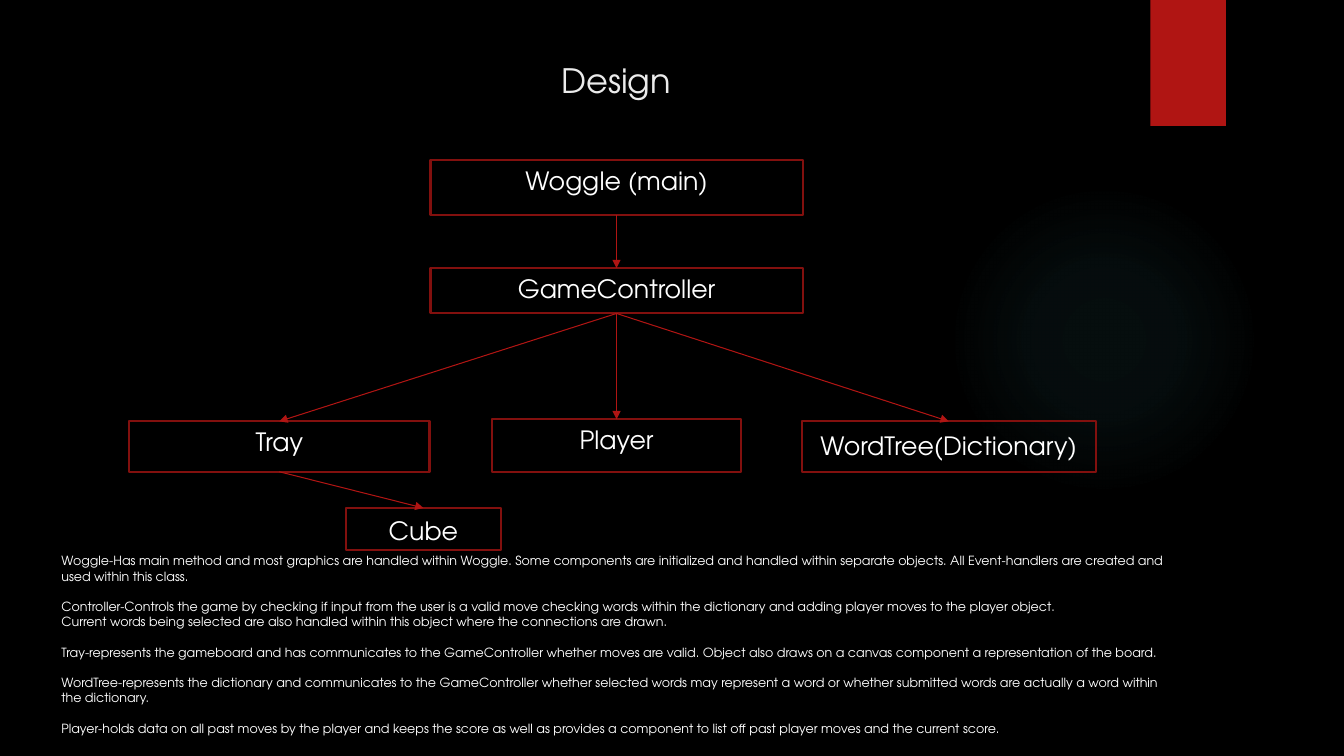
"""Build a slide that shows the class design of a word game."""
from dataclasses import dataclass

from lxml import etree
from pptx import Presentation
from pptx.dml.color import RGBColor
from pptx.enum.shapes import MSO_CONNECTOR, MSO_SHAPE
from pptx.enum.text import MSO_ANCHOR, PP_ALIGN
from pptx.oxml import parse_xml
from pptx.oxml.ns import nsdecls, qn
from pptx.util import Inches, Pt

RECT, OVAL = MSO_SHAPE.RECTANGLE, MSO_SHAPE.OVAL
LINE = MSO_CONNECTOR.STRAIGHT
LEFT, MID = PP_ALIGN.LEFT, PP_ALIGN.CENTER
TOP, CENTER = MSO_ANCHOR.TOP, MSO_ANCHOR.MIDDLE
TOP_SITE, LOW_SITE = 0, 2
WIDE, HIGH = 13.33, 7.5
COLS, ROWS = 133.3, 75


@dataclass(frozen=True)
class Theme:
    font: str = "TeX Gyre Adventor"
    back: str = "000000"
    glow: str = "50B9C1"
    red: str = "B01513"
    edge: str = "82100E"
    head: str = "EBEBEB"
    ink: str = "FFFFFF"
    title: int = 24
    label: int = 18
    note: int = 9
    gap: float = 10.9


def rgb(code):
    return RGBColor.from_string(code)


def write(frame, lines, *, font, size, color, align=LEFT, anchor=TOP, gaps=()):
    frame.word_wrap = True
    frame.vertical_anchor = anchor
    for i, line in enumerate(lines):
        para = frame.paragraphs[0] if i == 0 else frame.add_paragraph()
        para.alignment = align
        para.space_before = Pt(gaps[i] if gaps else 0)
        run = para.add_run()
        run.text = line
        run.font.name = font
        run.font.size = Pt(size)
        run.font.color.rgb = rgb(color)


class Deck:
    def __init__(self, theme):
        self.theme = theme
        self.file = Presentation()
        self.file.slide_width = Inches(WIDE)
        self.file.slide_height = Inches(HIGH)
        self.slide = self.file.slides.add_slide(self.file.slide_layouts[6])
        fill = self.slide.background.fill
        fill.solid()
        fill.fore_color.rgb = rgb(theme.back)

    def place(self, col, row, cols, rows):
        x, y = Inches(WIDE) / COLS, Inches(HIGH) / ROWS
        return [round(n) for n in (col * x, row * y, cols * x, rows * y)]

    def shape(self, kind, area, fill=None, edge=None):
        item = self.slide.shapes.add_shape(kind, *self.place(*area))
        item.shadow.inherit = False
        if fill:
            item.fill.solid()
            item.fill.fore_color.rgb = rgb(fill)
        else:
            item.fill.background()
        if edge:
            item.line.color.rgb = rgb(edge)
            item.line.width = Pt(1.5)
        else:
            item.line.fill.background()
        return item

    def glow(self, area, stops):
        item = self.shape(OVAL, area)
        marks = "".join(
            f'<a:gs pos="{pos * 1000}"><a:srgbClr val="{self.theme.glow}">'
            f'<a:alpha val="{alpha * 1000}"/></a:srgbClr></a:gs>'
            for pos, alpha in stops)
        grad = parse_xml(
            f'<a:gradFill {nsdecls("a")}><a:gsLst>{marks}</a:gsLst>'
            '<a:path path="circle"><a:fillToRect l="50000" t="50000" '
            'r="50000" b="50000"/></a:path></a:gradFill>')
        props = item._element.spPr
        props.replace(props.find(qn("a:noFill")), grad)

    def text(self, area, lines, **style):
        box = self.slide.shapes.add_textbox(*self.place(*area))
        look = dict(font=self.theme.font, color=self.theme.ink)
        write(box.text_frame, lines, **(look | style))

    def node(self, name, area, drop=0):
        col, row, cols, _ = area
        box = self.shape(RECT, area, edge=self.theme.edge)
        self.text((col, row + drop, cols, 4), [name],
                  size=self.theme.label, align=MID)
        return box

    def arrow(self, start, end):
        link = self.slide.shapes.add_connector(LINE, 0, 0, 0, 0)
        link.begin_connect(start, LOW_SITE)
        link.end_connect(end, TOP_SITE)
        link.line.color.rgb = rgb(self.theme.red)
        link.line.width = Pt(0.75)
        etree.SubElement(link.line._get_or_add_ln(), qn("a:tailEnd"),
                         type="triangle")
        etree.SubElement(link._element.spPr, qn("a:effectLst"))


NODES = {
    "Woggle (main)": ((42.7, 15.9, 36.9, 5.4), 0),
    "GameController": ((42.7, 26.6, 36.9, 4.5), 0),
    "Tray": ((12.8, 41.8, 29.8, 5), 0),
    "Player": ((48.8, 41.6, 24.7, 5.2), 0),
    "WordTree(Dictionary)": ((79.5, 41.8, 29.2, 5), 0.4),
    "Cube": ((34.3, 50.4, 15.4, 4.2), 0.2),
}
LINKS = [
    ("Woggle (main)", "GameController"),
    ("GameController", "Player"),
    ("GameController", "Tray"),
    ("GameController", "WordTree(Dictionary)"),
    ("Tray", "Cube"),
]
NOTES = [
    "Woggle-Has main method and most graphics are handled within Woggle. "
    "Some components are initialized and handled within separate objects. "
    "All Event-handlers are created and used within this class.",
    "Controller-Controls the game by checking if input from the user is a "
    "valid move checking words within the dictionary and adding player moves "
    "to the player object.",
    "Current words being selected are also handled within this object where "
    "the connections are drawn.",
    "Tray-represents the gameboard and has communicates to the "
    "GameController whether moves are valid. Object also draws on a canvas "
    "component a representation of the board.",
    "WordTree-represents the dictionary and communicates to the "
    "GameController whether selected words may represent a word or whether "
    "submitted words are actually a word within the dictionary.",
    "Player-holds data on all past moves by the player and keeps the score "
    "as well as provides a component to list off past player moves and the "
    "current score.",
]


def main():
    theme = Theme()
    deck = Deck(theme)
    deck.glow((94.1, 18.3, 30.8, 30.8), [(0, 7), (36, 6), (69, 0)])
    deck.shape(RECT, (114.1, 0, 7.5, 12.5), fill=theme.red)
    deck.text((18.5, 5.1, 85.2, 5.6), ["Design"], size=theme.title,
              color=theme.head, align=MID, anchor=CENTER)
    boxes = {name: deck.node(name, *spot) for name, spot in NODES.items()}
    for start, end in LINKS:
        deck.arrow(boxes[start], boxes[end])
    gap = theme.gap
    deck.text((5.1, 54.4, 111.9, 20.7), NOTES, size=theme.note,
              gaps=(0, gap, 0, gap, gap, gap))
    deck.file.save("out.pptx")


if __name__ == "__main__":
    main()
